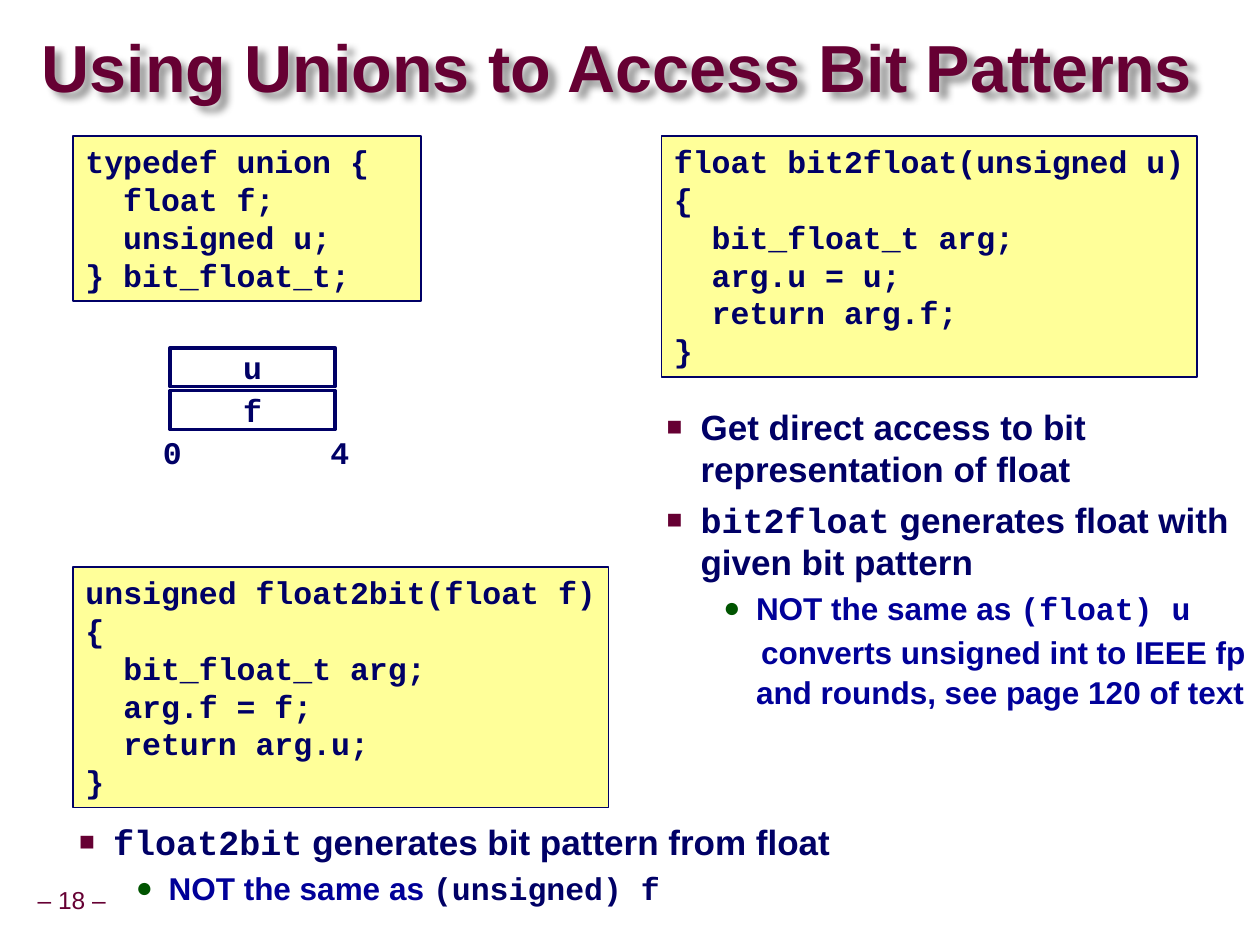
"""Build a slide on reading the bit patterns of floats through a C union."""
from lxml import etree
from pptx import Presentation
from pptx import util as u
from pptx.dml.color import RGBColor
from pptx.enum import shapes, text
from pptx.oxml.ns import qn

COLORS = {"maroon": "660033", "navy": "000066", "blue": "000099",
          "green": "005400", "yellow": "FFFF99", "white": "FFFFFF"}
SANS, MONO = "Arial", "Courier New"
LEFT, CENTER, RIGHT = text.PP_ALIGN.LEFT, text.PP_ALIGN.CENTER, text.PP_ALIGN.RIGHT
TOP, MIDDLE = text.MSO_ANCHOR.TOP, text.MSO_ANCHOR.MIDDLE

prs = Presentation()
prs.slide_width, prs.slide_height = u.Inches(10), u.Inches(7.5)
COL, ROW = prs.slide_width / 100, prs.slide_height / 75
s = prs.slides.add_slide(prs.slide_layouts[1])


def place(sp, left, top, width, height, anchor=TOP, wrap=True, inset=(0.1, 0.05)):
    sp.left, sp.width = round(left * COL), round(width * COL)
    sp.top, sp.height = round(top * ROW), round(height * ROW)
    tf = sp.text_frame
    tf.auto_size = text.MSO_AUTO_SIZE.NONE
    tf.word_wrap, tf.vertical_anchor = wrap, anchor
    tf.margin_left = tf.margin_right = u.Inches(inset[0])
    tf.margin_top = tf.margin_bottom = u.Inches(inset[1])
    return tf


def write(tf, runs, size=18, font=MONO, color="navy", bold=True, align=LEFT,
          spacing=1.0, before=0, margin=0, indent=0, bullet=None):
    p = tf.paragraphs[0]
    if p.runs:
        p = tf.add_paragraph()
    p.alignment, p.line_spacing, p.space_before = align, spacing, u.Pt(before)
    pPr = p._p.get_or_add_pPr()
    pPr.set("marL", str(u.Inches(margin)))
    pPr.set("indent", str(u.Inches(indent)))
    if bullet:
        mark, tint, share = bullet
        clr = etree.SubElement(pPr, qn("a:buClr"))
        etree.SubElement(clr, qn("a:srgbClr"), val=COLORS[tint])
        etree.SubElement(pPr, qn("a:buSzPct"), val=str(share * 1000))
        etree.SubElement(pPr, qn("a:buFont"), typeface=SANS)
        etree.SubElement(pPr, qn("a:buChar"), char=mark)
    else:
        etree.SubElement(pPr, qn("a:buNone"))
    for words, *style in [(runs,)] if isinstance(runs, str) else runs:
        r = p.add_run()
        r.text = words
        r.font.size, r.font.bold = u.Pt(size), bold
        r.font.name = style[0] if style else font
        tint = style[1] if len(style) > 1 else color
        r.font.color.rgb = RGBColor.from_string(COLORS[tint])


tf = place(s.shapes.title, 3.3, 2.5, 93.4, 6.3, MIDDLE, inset=(0, 0))
write(tf, "Using Unions to Access Bit Patterns", size=38, font=SANS,
      color="maroon", spacing=0.87)
effects = etree.SubElement(s.shapes.title._element.spPr, qn("a:effectLst"))
shadow = etree.SubElement(effects, qn("a:outerShdw"), blurRad="50800",
                          dist="63500", dir="2700000", algn="tl", rotWithShape="0")
black = etree.SubElement(shadow, qn("a:srgbClr"), val="000000")
etree.SubElement(black, qn("a:alpha"), val="40000")

union = ["typedef union {", "  float f;", "  unsigned u;", "} bit_float_t;"]
to_float = ["float bit2float(unsigned u) {", "  bit_float_t arg;",
            "  arg.u = u;", "  return arg.f;", "}"]
to_bits = ["unsigned float2bit(float f) {", "  bit_float_t arg;",
           "  arg.f = f;", "  return arg.u;", "}"]
code = dict(fill="yellow", line=1, align=LEFT, anchor=TOP, wrap=True)
field = dict(fill="white", line=2, align=CENTER, anchor=MIDDLE, wrap=False)
for at, lines, look in [
    ((5.8, 10.8, 27.6, 13.1), union, code),
    ((52.5, 10.8, 42.5, 19.1), to_float, code),
    ((5.8, 45, 42.5, 19.1), to_bits, code),
    ((13.5, 27.6, 13.1, 3.1), ["u"], field),
    ((13.5, 31, 13.1, 3.1), ["f"], field),
]:
    sp = s.shapes.add_shape(shapes.MSO_SHAPE.RECTANGLE, 0, 0, 0, 0)
    sp.shadow.inherit = False
    sp.fill.solid()
    sp.fill.fore_color.rgb = RGBColor.from_string(COLORS[look["fill"]])
    sp.line.color.rgb = RGBColor.from_string(COLORS["navy"])
    sp.line.width = u.Pt(look["line"])
    tf = place(sp, *at, anchor=look["anchor"], wrap=look["wrap"])
    for line in lines:
        write(tf, line, align=look["align"])

for left, offset in [(11.9, "0"), (25.2, "4")]:
    tf = place(s.shapes.add_textbox(0, 0, 0, 0), left, 33.9, 3.5, 4, wrap=False)
    write(tf, offset, align=RIGHT)

point = dict(size=20, font=SANS, before=5, margin=0.81, indent=-0.27,
             bullet=("■", "maroon", 75))
detail = dict(font=SANS, color="blue", spacing=1.07, before=2, margin=1.25)
dot = dict(indent=-0.26, bullet=("●", "green", 90))

tf = place(s.placeholders[1], 46.5, 31.7, 53.5, 9.2)
write(tf, "Get direct access to bit representation of float", **point)
write(tf, [("bit2float", MONO), (" generates float with given bit pattern",)], **point)
write(tf, [("NOT the same as ",), ("(float) u", MONO)], **detail, **dot)
write(tf, "converts unsigned int to IEEE fp and rounds, see page 120 of text",
      indent=0.04, **detail)

tf = place(s.shapes.add_textbox(0, 0, 0, 0), -0.1, 65, 83.5, 10)
write(tf, [("float2bit", MONO), (" generates bit pattern from float",)],
      spacing=0.9, **point)
write(tf, [("NOT the same as ",), ("(unsigned) f", MONO, "navy")], **detail, **dot)

tf = place(s.shapes.add_textbox(0, 0, 0, 0), 2.4, 70, 6.6, 3.1, MIDDLE,
           wrap=False, inset=(0.05, 0.05))
write(tf, "– 18 –", size=14, font=SANS, color="maroon", bold=False,
      align=CENTER, spacing=0.9)

prs.save("out.pptx")
